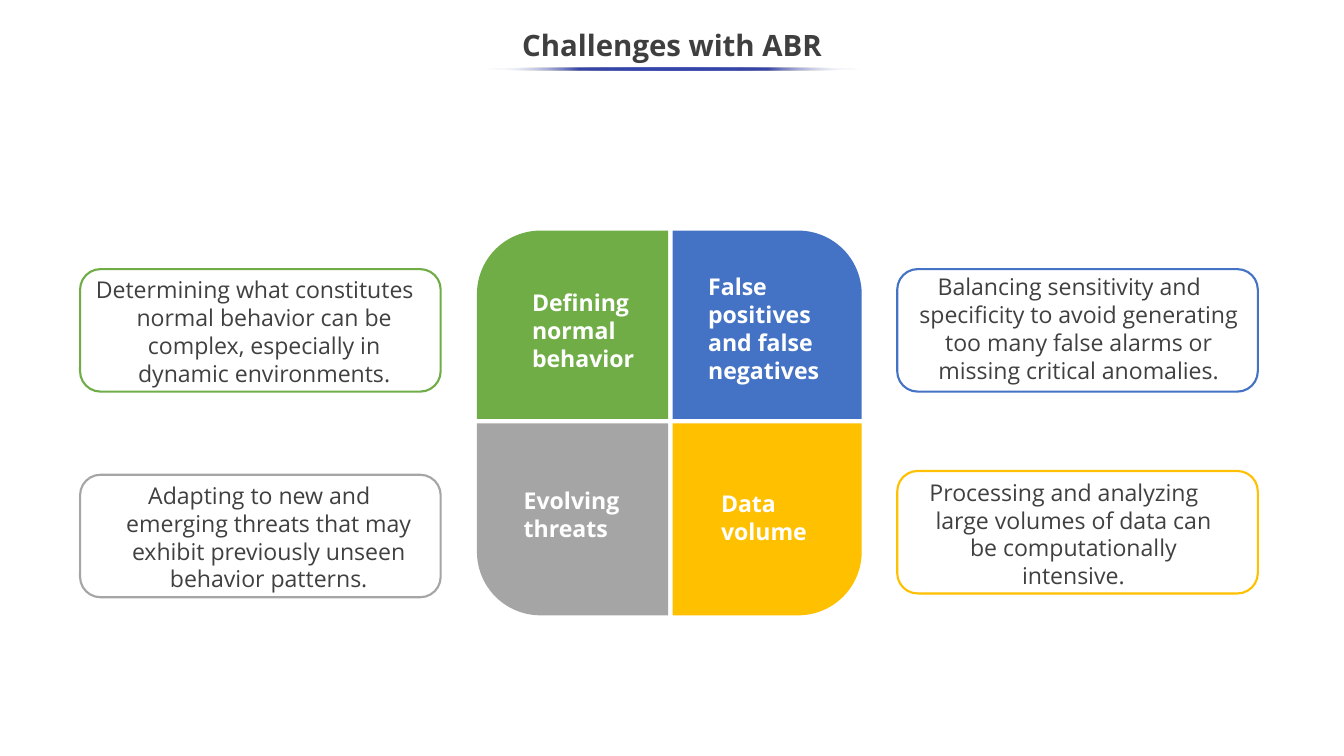
"""Build the "Challenges with ABR" slide: four rounded panels with outlined notes."""
from dataclasses import dataclass

from lxml.etree import SubElement
from pptx import Presentation
from pptx.dml.color import RGBColor
from pptx.enum.shapes import MSO_SHAPE
from pptx.enum.text import MSO_ANCHOR, PP_ALIGN
from pptx.oxml.ns import qn
from pptx.util import Inches, Pt


@dataclass(frozen=True)
class Theme:
    font: str = "Open Sans"
    title: str = "3F3F3F"
    note: str = "404040"
    label: str = "FFFFFF"
    accent: str = "3645A9"
    fade: str = "FFFFFF"
    title_size: int = 28
    body_size: int = 22
    line_width: int = 2


THEME = Theme()
TITLE = "Challenges with ABR"
CHALLENGES = [
    dict(row=0, col=0, color="70AD47", label="Defining normal behavior",
         label_at=(6.44, 3.77, 2.28), note_at=(0.78, 3.6, 4.93), frame_top=3.56,
         note="Determining what constitutes normal behavior can be complex, "
              "especially in dynamic environments."),
    dict(row=0, col=1, color="4472C4", label="False positives and false negatives",
         label_at=(8.77, 3.56, 2.25), note_at=(11.5, 3.56, 5.04), frame_top=3.56,
         note="Balancing sensitivity and specificity to avoid generating too many "
              "false alarms or missing critical anomalies."),
    dict(row=1, col=0, color="A5A5A5", label="Evolving threats",
         label_at=(6.33, 6.39, 2.25), note_at=(0.92, 6.32, 4.77), frame_top=6.28,
         note="Adapting to new and emerging threats that may exhibit previously "
              "unseen behavior patterns."),
    dict(row=1, col=1, color="FFC000", label="Data volume",
         label_at=(8.94, 6.43, 2.25), note_at=(11.64, 6.28, 4.62), frame_top=6.23,
         note="Processing and analyzing large volumes of data can be "
              "computationally intensive."),
]
PANEL_COLS = [(6.31, 2.53), (8.9, 2.5)]
PANEL_ROWS = [(3.05, 2.49), (5.6, 2.54)]
PANEL_RADIUS = 0.84
FRAME_LEFTS = [1.06, 11.87]
FRAME_SIZE = (4.77, 1.62)
RULE_STOPS = [(0, THEME.fade, 0), (25, THEME.accent, 100),
              (75, THEME.accent, 100), (100, THEME.fade, 0)]


def rgb(color):
    return RGBColor.from_string(color)


def style(p, size, color, bold=False):
    p.font.name = THEME.font
    p.font.size = Pt(size)
    p.font.bold = bold
    p.font.color.rgb = rgb(color)


def add_plain_shape(slide, kind, left, top, width, height):
    sp = slide.shapes.add_shape(kind, *map(Inches, (left, top, width, height)))
    sp.shadow.inherit = False
    return sp


def add_text(slide, text, at, color, indent, align=None, bold=False):
    left, top, width = at
    tf = slide.shapes.add_textbox(*map(Inches, (left, top, width, 0.5))).text_frame
    tf.word_wrap = True
    p = tf.paragraphs[0]
    p.text = text
    p.alignment = align
    pPr = p._p.get_or_add_pPr()
    pPr.set("marL", str(Inches(0.5)))
    pPr.set("indent", str(Inches(indent)))
    style(p, THEME.body_size, color, bold)


def add_title(slide):
    sp = slide.shapes.title
    sp.left, sp.top, sp.width, sp.height = map(Inches, (-0.01, 0.25, 17.8, 0.75))
    sp.text_frame.vertical_anchor = MSO_ANCHOR.MIDDLE
    p = sp.text_frame.paragraphs[0]
    p.text = TITLE
    p.alignment = PP_ALIGN.CENTER
    p.line_spacing = 0.9
    style(p, THEME.title_size, THEME.title, bold=True)


def add_rule(slide):
    sp = add_plain_shape(slide, MSO_SHAPE.OVAL, 6.42, 0.89, 4.96, 0.04)
    sp.line.fill.background()
    sp.fill.gradient()
    sp.fill.gradient_angle = 0
    stops = sp._element.spPr.find(qn("a:gradFill")).find(qn("a:gsLst"))
    for stop in list(stops):
        stops.remove(stop)
    for pos, color, alpha in RULE_STOPS:
        stop = SubElement(stops, qn("a:gs"), pos=str(pos * 1000))
        clr = SubElement(stop, qn("a:srgbClr"), val=color)
        SubElement(clr, qn("a:alpha"), val=str(alpha * 1000))


def add_panel(slide, item):
    left, width = PANEL_COLS[item["col"]]
    top, height = PANEL_ROWS[item["row"]]
    sp = add_plain_shape(slide, MSO_SHAPE.ROUND_1_RECTANGLE, left, top, width, height)
    sp.adjustments[0] = PANEL_RADIUS / min(width, height)
    xfrm = sp._element.spPr.find(qn("a:xfrm"))
    xfrm.set("flipH", str(1 - item["col"]))
    xfrm.set("flipV", str(item["row"]))
    sp.fill.solid()
    sp.fill.fore_color.rgb = rgb(item["color"])
    sp.line.fill.background()
    add_text(slide, item["label"], item["label_at"], THEME.label, 0, bold=True)


def add_note(slide, item):
    sp = add_plain_shape(slide, MSO_SHAPE.ROUNDED_RECTANGLE,
                         FRAME_LEFTS[item["col"]], item["frame_top"], *FRAME_SIZE)
    sp.fill.background()
    sp.line.color.rgb = rgb(item["color"])
    sp.line.width = Pt(THEME.line_width)
    add_text(slide, item["note"], item["note_at"], THEME.note, -0.25, PP_ALIGN.CENTER)


def main():
    prs = Presentation()
    prs.slide_width, prs.slide_height = Inches(17.78), Inches(10)
    slide = prs.slides.add_slide(prs.slide_layouts[5])
    add_title(slide)
    add_rule(slide)
    for item in CHALLENGES:
        add_panel(slide, item)
        add_note(slide, item)
    prs.save("out.pptx")


if __name__ == "__main__":
    main()
